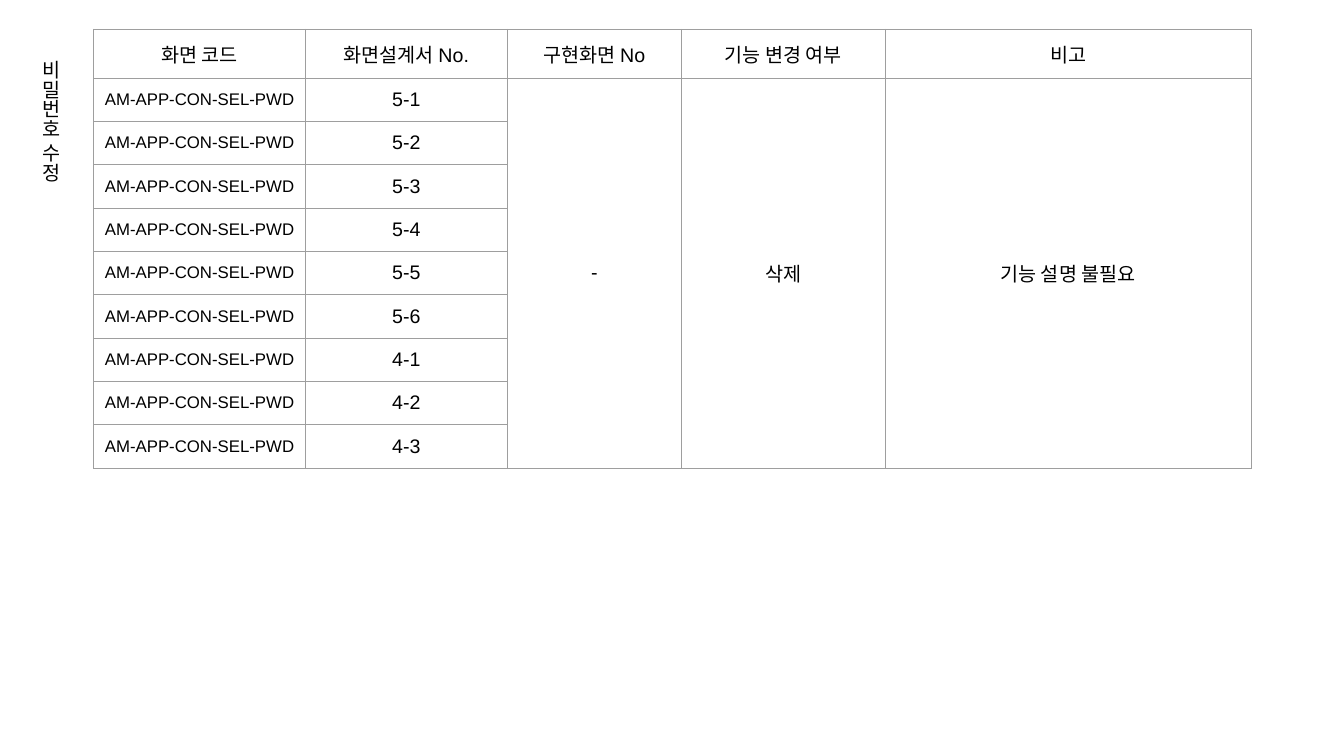
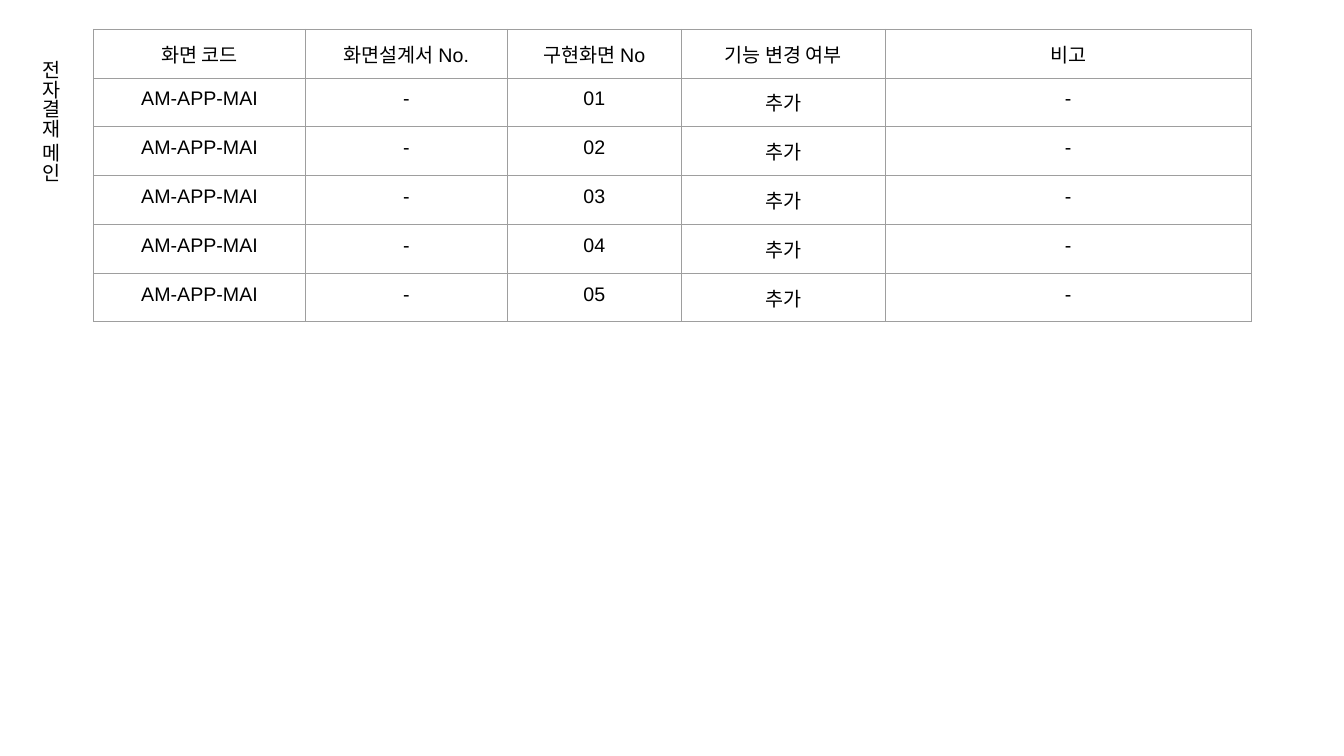
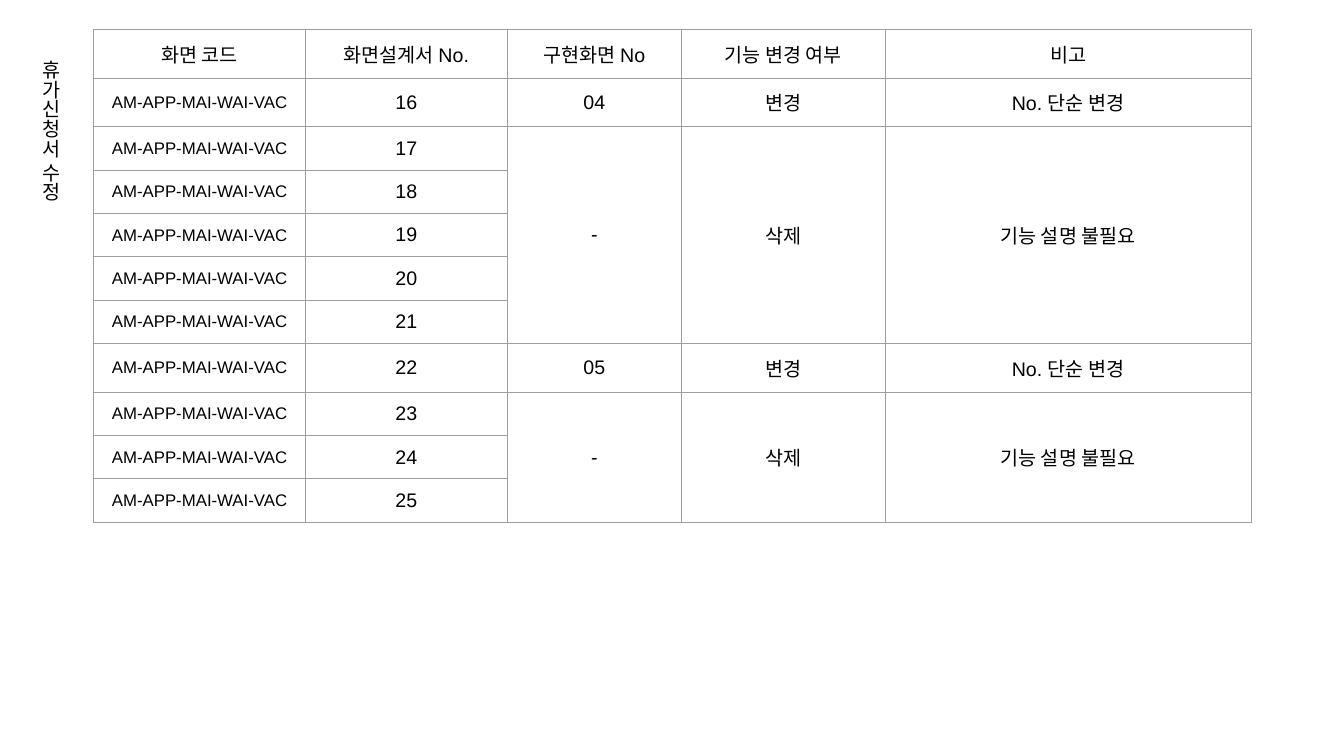
from lxml.etree import SubElement
from pptx import Presentation
from pptx.dml.color import RGBColor
from pptx.enum.text import MSO_ANCHOR, MSO_AUTO_SIZE, PP_ALIGN
from pptx.oxml.ns import qn
from pptx.util import Pt

PX = 9144  # EMU per px, 100 px to the inch
FONT = "Arial"
BLACK = RGBColor(0x00, 0x00, 0x00)
GREY = RGBColor(0x9E, 0x9E, 0x9E)

SLIDE_W, SLIDE_H = 1333, 750
TABLE_BOX = (93, 29)
LABEL_BOX = (23, 50, 44, 163)
COL_WIDTHS = (210, 200, 173, 202, 363)
ROW_H, TALL_ROW_H = 43, 48  # rows with unmerged Korean text are tall
CELL_FORMAT = {f"margin_{side}": 10 * PX for side in ("left", "right", "top", "bottom")}
HEADERS = ("화면 코드", "화면설계서 No.", "구현화면 No", "기능 변경 여부", "비고")

REMOVED = ("-", "삭제", "기능 설명 불필요")
RENUMBERED = ("변경", "No. 단순 변경")

# Each group: design numbers, then the three cells they share
SLIDES = (
    {"label": "비밀번호 수정", "code": "AM-APP-CON-SEL-PWD", "code_size": 12,
     "anchor": MSO_ANCHOR.MIDDLE,
     "groups": [(("5-1", "5-2", "5-3", "5-4", "5-5", "5-6", "4-1", "4-2", "4-3"), REMOVED)]},
    {"label": "전자결재 메인", "code": "AM-APP-MAI", "code_size": 14,
     "anchor": MSO_ANCHOR.TOP,
     "groups": [(("-",), (f"{n:02}", "추가", "-")) for n in range(1, 6)]},
    {"label": "휴가신청서 수정", "code": "AM-APP-MAI-WAI-VAC", "code_size": 12,
     "anchor": MSO_ANCHOR.MIDDLE,
     "groups": [(("16",), ("04", *RENUMBERED)),
                (("17", "18", "19", "20", "21"), REMOVED),
                (("22",), ("05", *RENUMBERED)),
                (("23", "24", "25"), REMOVED)]},
)


def write(tf, text, size=14, align=None):
    p = tf.paragraphs[0]
    p.alignment = align
    r = p.add_run()
    r.text = text
    for name, value in {"name": FONT, "size": Pt(size)}.items():
        setattr(r.font, name, value)
    r.font.color.rgb = BLACK


def format_cell(cell, anchor):
    for name, value in {**CELL_FORMAT, "vertical_anchor": anchor}.items():
        setattr(cell, name, value)
    # Thin grey border on all four sides
    tcPr = cell._tc.get_or_add_tcPr()
    for side in ("lnL", "lnR", "lnT", "lnB"):
        ln = SubElement(tcPr, qn(f"a:{side}"), w=str(Pt(0.75)))
        fill = SubElement(ln, qn("a:solidFill"))
        SubElement(fill, qn("a:srgbClr"), val=str(GREY))
    cell.fill.background()


def add_change_table(s, box, code, code_size, anchor, groups):
    x, y = box
    heights = [TALL_ROW_H]
    for numbers, _ in groups:
        heights += [TALL_ROW_H] if len(numbers) == 1 else [ROW_H] * len(numbers)
    size = (sum(COL_WIDTHS), sum(heights))
    table = s.shapes.add_table(len(heights), len(COL_WIDTHS),
                               *(v * PX for v in (x, y, *size))).table
    table.first_row = table.horz_banding = False
    for col, width in zip(table.columns, COL_WIDTHS):
        col.width = width * PX
    for row, height in zip(table.rows, heights):
        row.height = height * PX
    for cell in table.iter_cells():
        format_cell(cell, anchor)

    def put(row, col, text, size=14):
        write(table.cell(row, col).text_frame, text, size, PP_ALIGN.CENTER)

    # Header row
    for col, text in enumerate(HEADERS):
        put(0, col, text)

    # One row per design number, shared cells merged down the group
    top = 1
    for numbers, shared in groups:
        last = top + len(numbers) - 1
        for row, number in enumerate(numbers, top):
            put(row, 0, code, code_size)
            put(row, 1, number)
        for col, text in enumerate(shared, 2):
            if last > top:
                table.cell(top, col).merge(table.cell(last, col))
            put(top, col, text)
        top = last + 1


def add_side_label(s, box, text):
    tf = s.shapes.add_textbox(*(v * PX for v in box)).text_frame
    for name, value in {"word_wrap": True, "auto_size": MSO_AUTO_SIZE.NONE}.items():
        setattr(tf, name, value)
    tf._txBody.bodyPr.set("vert", "eaVert")
    write(tf, text)


def add_change_slide(prs, label, **table):
    s = prs.slides.add_slide(prs.slide_layouts[6])
    add_change_table(s, TABLE_BOX, **table)
    add_side_label(s, LABEL_BOX, label)


def main():
    prs = Presentation()
    prs.slide_width, prs.slide_height = SLIDE_W * PX, SLIDE_H * PX
    for content in SLIDES:
        add_change_slide(prs, **content)
    prs.save("out.pptx")


if __name__ == "__main__":
    main()
